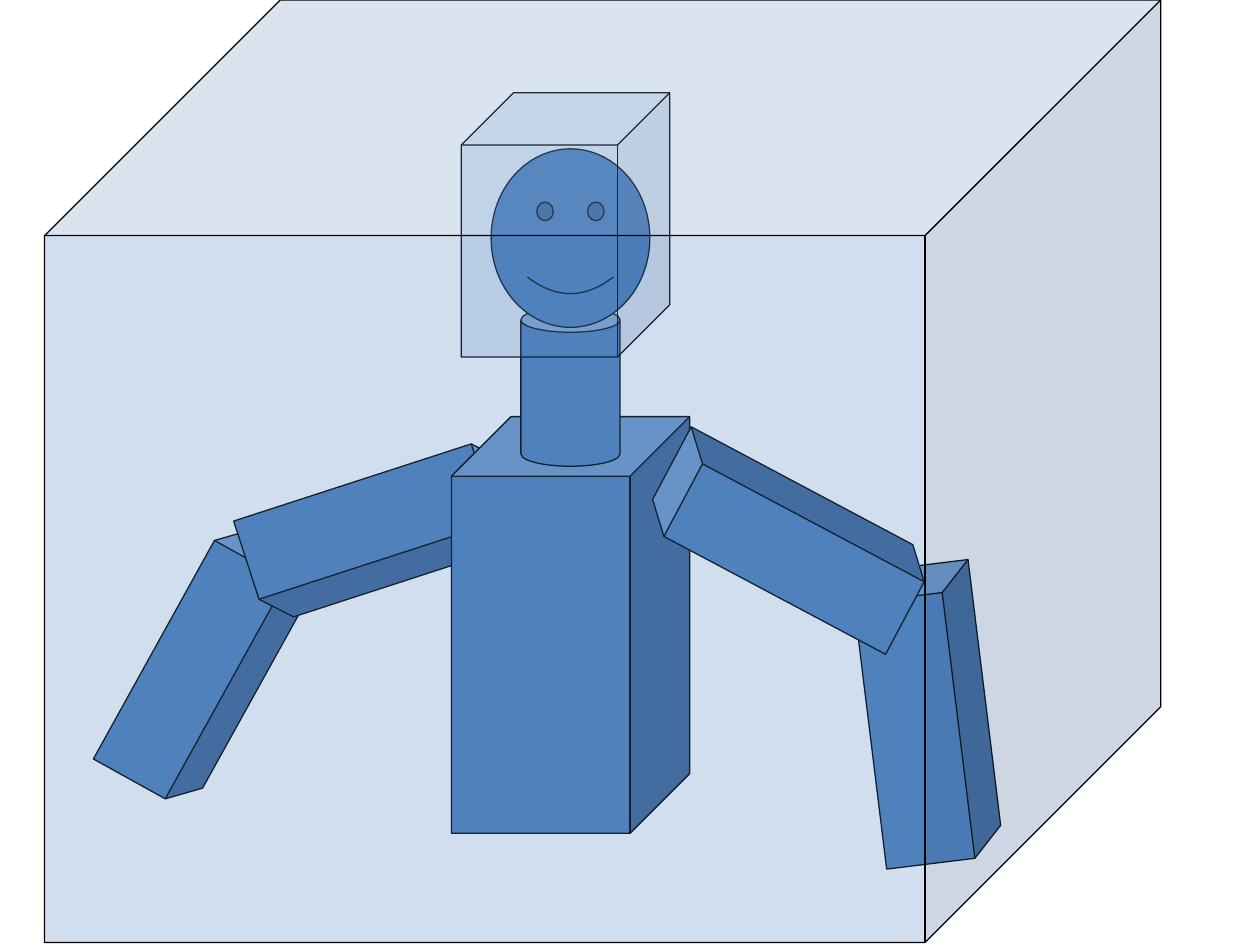
from lxml import etree
from pptx import Presentation
from pptx.dml.color import RGBColor
from pptx.enum.shapes import MSO_SHAPE as Preset
from pptx.oxml.ns import qn
from pptx.util import Inches, Pt

COLORS = {"body": "4F81BD", "outline": "000000"}

presentation = Presentation()
presentation.slide_width = Inches(10)
presentation.slide_height = Inches(7.5)
slide = presentation.slides.add_slide(presentation.slide_layouts[6])

# Square grid: 100 columns by 75 rows
column = presentation.slide_width / 100
row = presentation.slide_height / 75

# Parts from back to front:
# preset, left, top, columns wide, rows high, rotation, opacity in percent
parts = [
    # Right forearm, left forearm, left upper arm
    (Preset.CUBE, 68.9, 44.9, 9.4, 23.6, 353, 100),
    (Preset.CUBE, 12.2, 41.73, 8.7, 22, 29, 100),
    (Preset.CUBE, 26, 31.1, 8.7, 22, 72, 100),
    # Torso, right upper arm
    (Preset.CUBE, 35.83, 33.07, 18.9, 33.07, 0, 100),
    (Preset.CUBE, 58.22, 31.85, 8.7, 22.1, 298, 100),
    # Neck and head
    (Preset.CAN, 41.34, 24.41, 7.87, 12.6, 0, 100),
    (Preset.SMILEY_FACE, 38.98, 11.81, 12.6, 14.17, 0, 100),
    # See-through boxes around the head and the whole figure
    (Preset.CUBE, 36.61, 7.37, 16.54, 20.96, 0, 19),
    (Preset.CUBE, 3.54, 0, 88.58, 74.8, 0, 26),
]

for preset, left, top, width, height, rotation, opacity in parts:
    shape = slide.shapes.add_shape(
        preset,
        round(left * column), round(top * row),
        round(width * column), round(height * row),
    )
    shape.rotation = rotation
    shape.shadow.inherit = False
    shape.fill.solid()
    shape.fill.fore_color.rgb = RGBColor.from_string(COLORS["body"])
    shape.line.color.rgb = RGBColor.from_string(COLORS["outline"])
    shape.line.width = Pt(0.75)
    if opacity < 100:
        fill_color = shape.fill._xPr.find(qn("a:solidFill"))[0]
        etree.SubElement(fill_color, qn("a:alpha"), val=str(opacity * 1000))

presentation.save("out.pptx")
